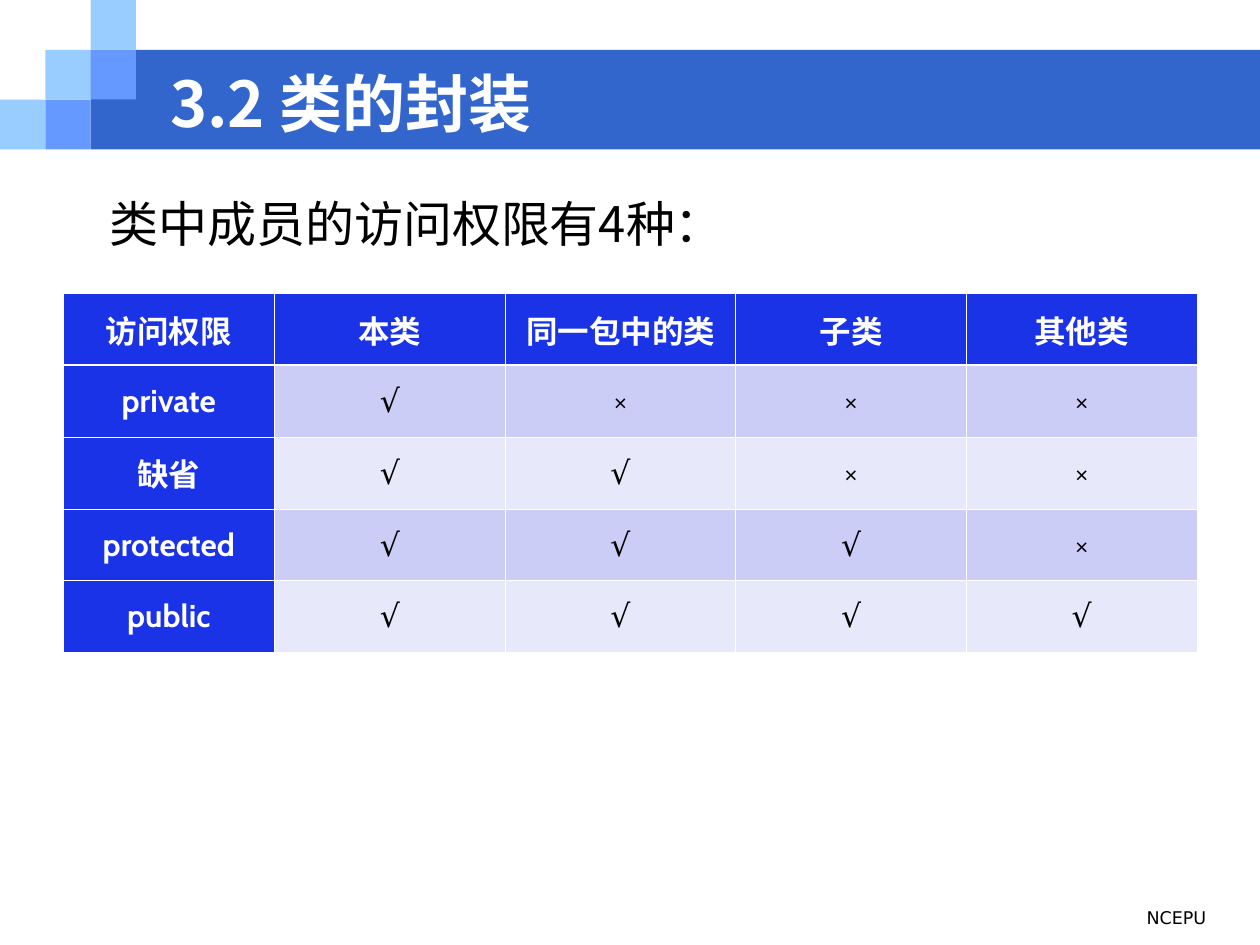
from pptx import Presentation
from pptx.dml.color import RGBColor
from pptx.enum.shapes import MSO_SHAPE as Shape
from pptx.enum.text import MSO_ANCHOR as Anchor, MSO_AUTO_SIZE as Auto, PP_ALIGN as Align
from pptx.oxml.ns import qn
from pptx.util import Inches, Pt
from lxml.etree import SubElement

WHITE, BLACK = "FFFFFF", "000000"
HEAD, BANDS = "1B33E7", ("CCCDF6", "E7E8FA")
SKY, MID, BAR = "99CCFF", "6699FF", "3366CC"
CJK = "Noto Sans CJK SC"

TITLE = "3.2 类的封装"
LEAD = "类中成员的访问权限有4种："
FOOT = "NCEPU"
RIGHTS = [
    ("访问权限", "本类", "同一包中的类", "子类", "其他类"),
    ("private", "√", "×", "×", "×"),
    ("缺省", "√", "√", "×", "×"),
    ("protected", "√", "√", "√", "×"),
    ("public", "√", "√", "√", "√"),
]
WIDTHS = (1.68, 1.83, 1.83, 1.83, 1.83)
ROW_H = 0.57
TILE_W, TILE_H = 0.36, 0.395
TILES = [(0, 2, SKY), (1, 1, SKY), (2, 0, SKY), (2, 1, MID), (1, 2, MID)]


def rgb(code):
    return RGBColor.from_string(code)


def place(shape, *box):
    shape.left, shape.top, shape.width, shape.height = map(Inches, box)


def write(para, text, size, font, color, bold=False):
    run = para.add_run()
    run.text = text
    run.font.size, run.font.bold, run.font.name = Pt(size), bold, font
    run.font.color.rgb = rgb(color)
    SubElement(run.font._element, qn("a:ea"), typeface=CJK)


def block(slide, front, box, color):
    """Add a plain rectangle behind the shape called front."""
    rect = slide.shapes.add_shape(Shape.RECTANGLE, *map(Inches, box))
    rect.shadow.inherit = False
    rect.fill.solid()
    rect.fill.fore_color.rgb = rgb(color)
    rect.line.fill.background()
    front._element.addprevious(rect._element)


def edge(cell, widths):
    """Draw white cell borders; widths are in points by side."""
    props = cell._tc.get_or_add_tcPr()
    for i, (side, width) in enumerate(widths.items()):
        line = SubElement(props, qn("a:ln" + side), w=str(Pt(width)))
        fill = SubElement(line, qn("a:solidFill"))
        SubElement(fill, qn("a:srgbClr"), val=WHITE)
        props.insert(i, line)


def add_rights(slide):
    rows, cols = len(RIGHTS), len(WIDTHS)
    table = slide.shapes.add_table(
        rows, cols, Inches(0.5), Inches(2.33), Inches(sum(WIDTHS)), Inches(ROW_H * rows)
    ).table
    for col, width in zip(table.columns, WIDTHS):
        col.width = Inches(width)
    for r, words in enumerate(RIGHTS):
        table.rows[r].height = Inches(ROW_H)
        for c, word in enumerate(words):
            cell = table.cell(r, c)
            head = r == 0 or c == 0
            cell.fill.solid()
            cell.fill.fore_color.rgb = rgb(HEAD if head else BANDS[(r - 1) % 2])
            cell.vertical_anchor = Anchor.MIDDLE
            cell.margin_left = cell.margin_right = Inches(0.08)
            para = cell.text_frame.paragraphs[0]
            para.alignment = Align.CENTER
            write(para, word, 18, "Cabin", WHITE if head else BLACK, head)
            edge(cell, {"L": 0.45, "R": 0.45,
                        "T": 1.47 if r == 1 else 0.45,
                        "B": 1.47 if r == 0 else 0.45})


def main():
    prs = Presentation()
    prs.slide_width, prs.slide_height = Inches(10), Inches(7.5)
    slide = prs.slides.add_slide(prs.slide_layouts[1])
    title, body = slide.placeholders

    block(slide, title, (2 * TILE_W, TILE_H, 10 - 2 * TILE_W, 2 * TILE_H), BAR)
    for col, row, color in TILES:
        block(slide, title, (col * TILE_W, row * TILE_H, TILE_W, TILE_H), color)

    place(title, 1.25, 0.55, 8.08, 0.53)
    title.text_frame.auto_size = Auto.NONE
    title.text_frame.vertical_anchor = Anchor.MIDDLE
    para = title.text_frame.paragraphs[0]
    para.alignment = Align.LEFT
    write(para, TITLE, 36, CJK, WHITE, True)

    place(body, 0.42, 1.25, 9.33, 5.75)
    body.text_frame.auto_size = Auto.NONE
    para = body.text_frame.paragraphs[0]
    props = para._p.get_or_add_pPr()
    props.set("marL", str(Inches(0.35)))
    props.set("indent", "0")
    SubElement(props, qn("a:buNone"))
    para.line_spacing, para.space_before = 1.5, Pt(0)
    write(para, LEAD, 28, CJK, BLACK)

    add_rights(slide)

    foot = slide.shapes.add_textbox(*map(Inches, (6.5, 7.15, 3.17, 0.35)))
    foot.text_frame.word_wrap = True
    para = foot.text_frame.paragraphs[0]
    para.alignment = Align.RIGHT
    write(para, FOOT, 10, "DejaVu Sans", BLACK)

    prs.save("out.pptx")


if __name__ == "__main__":
    main()
